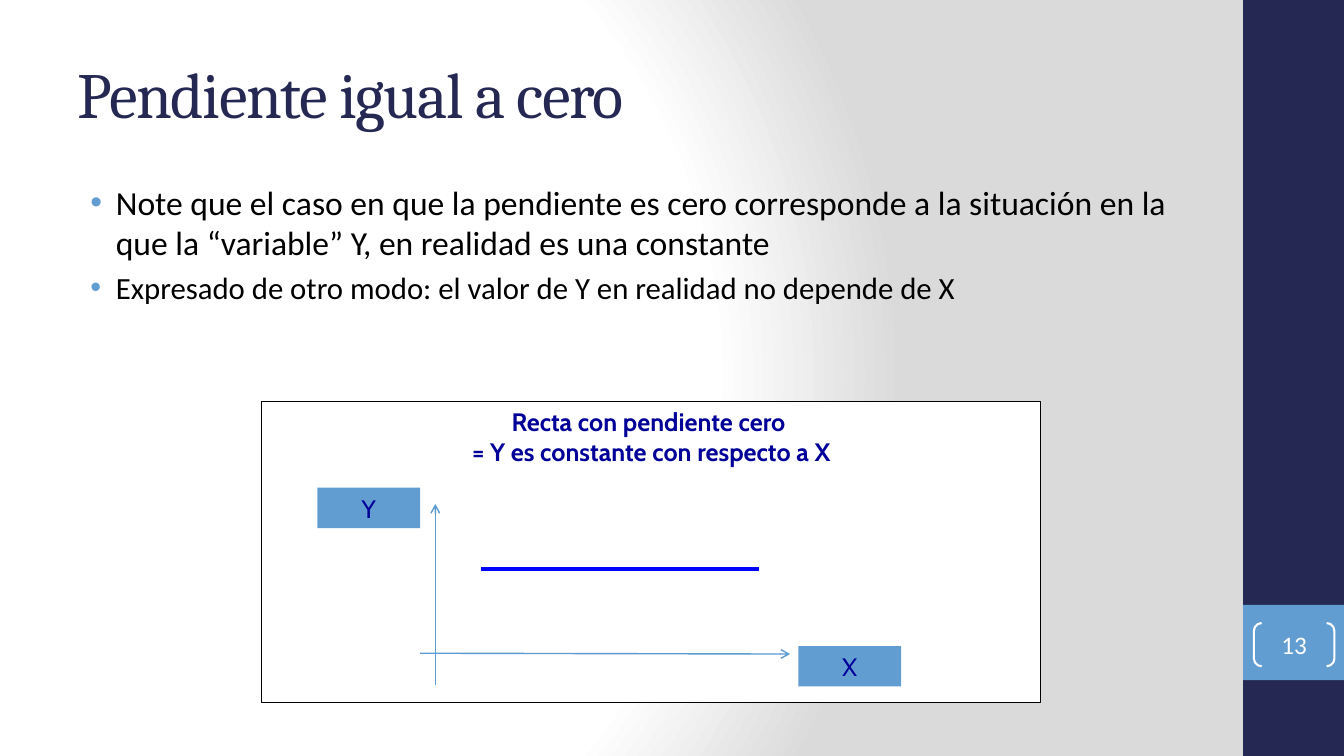
from pptx import Presentation
from pptx.dml.color import RGBColor
from pptx.enum.shapes import MSO_CONNECTOR, MSO_SHAPE
from pptx.enum.text import MSO_ANCHOR, PP_ALIGN
from pptx.oxml import parse_xml
from pptx.oxml.ns import nsdecls, qn
from pptx.util import Cm, Pt

RECT, BRACKETS = MSO_SHAPE.RECTANGLE, MSO_SHAPE.DOUBLE_BRACKET
STRAIGHT = MSO_CONNECTOR.STRAIGHT
TOP, MIDDLE = MSO_ANCHOR.TOP, MSO_ANCHOR.MIDDLE
LEFT, CENTER = PP_ALIGN.LEFT, PP_ALIGN.CENTER

# Content
TITLE = "Pendiente igual a cero"
BULLETS = [
    ("Note que el caso en que la pendiente es cero corresponde a la situación "
     "en la que la “variable” Y, en realidad es una constante", 24),
    ("Expresado de otro modo: el valor de Y en realidad no depende de X", 22),
]
PANEL_LINES = ["Recta con pendiente cero ", "= Y es constante con respecto a X"]
PAGE = "13"

THEME = {
    "navy": "242852", "blue": "629DD1", "axis": "5D9ACF", "line": "0000FF",
    "label": "000099", "white": "FFFFFF", "black": "000000", "shade": "DADADA",
    "title_font": "Cambria", "body_font": "Calibri", "graph_font": "Cabin",
    "title_size": 46, "small_size": 18,
}

# Layout in centimetres: left, top, width, height
SLIDE_W, SLIDE_H, BAR_W = 33.87, 19.05, 2.54
BAR_X = SLIDE_W - BAR_W
TEXT_X, TEXT_W = 1.7, 28.22
PANEL = (6.6, 10.11, 19.63, 7.59)
LABEL_W, LABEL_H = 2.59, 1.02
AXIS_LABELS = [("Y", 8.0, 12.29), ("X", 20.12, 16.28)]
# from x, from y, to x, to y, colour, width, arrow
GRAPH_LINES = [
    (12.12, 14.33, 19.13, 14.33, "line", 3, False),
    (10.59, 16.46, 19.91, 16.48, "axis", 1, True),
    (10.97, 17.27, 10.97, 12.7, "axis", 1, True),
]

prs = Presentation()
prs.slide_width, prs.slide_height = Cm(SLIDE_W), Cm(SLIDE_H)
slide = prs.slides.add_slide(prs.slide_layouts[6])


def color(name):
    return RGBColor.from_string(THEME[name])


def add_block(kind, box, fill=None, outline=None, width=1):
    block = slide.shapes.add_shape(kind, *map(Cm, box))
    block.shadow.inherit = False
    if fill:
        block.fill.solid()
        block.fill.fore_color.rgb = color(fill)
    else:
        block.fill.background()
    if outline:
        block.line.color.rgb = color(outline)
        block.line.width = Pt(width)
    else:
        block.line.fill.background()
    return block


def set_frame(owner, anchor, wrap=True):
    frame = owner.text_frame
    frame.word_wrap = wrap
    frame.vertical_anchor = anchor
    return frame


def add_run(paragraph, text, size, font, ink, align=LEFT, bold=False):
    paragraph.alignment = align
    run = paragraph.add_run()
    run.text = text
    run.font.size, run.font.name, run.font.bold = Pt(size), THEME[font], bold
    run.font.color.rgb = color(ink)
    return run


def add_bullet(paragraph):
    props = paragraph._p.get_or_add_pPr()
    props.set("marL", str(Cm(0.97)))
    props.set("indent", str(-Cm(0.64)))
    for xml in (f'<a:buClr {nsdecls("a")}><a:srgbClr val="{THEME["blue"]}"/></a:buClr>',
                f'<a:buFont {nsdecls("a")} typeface="Arial"/>',
                f'<a:buChar {nsdecls("a")} char="•"/>'):
        props.append(parse_xml(xml))


# Background gradient
slide.background.fill.gradient()
gradient = slide.element.find(".//" + qn("a:gradFill"))
stops = "".join(
    f'<a:gs pos="{place * 1000}"><a:srgbClr val="{THEME[name]}"/></a:gs>'
    for place, name in [(0, "white"), (75, "white"), (100, "shade")])
gradient.getparent().replace(gradient, parse_xml(
    f'<a:gradFill {nsdecls("a")} rotWithShape="1"><a:gsLst>{stops}</a:gsLst>'
    '<a:path path="circle"><a:fillToRect l="20000" t="50000" r="100000" b="50000"/>'
    '</a:path></a:gradFill>'))

# Side bar
add_block(RECT, (BAR_X, 0, BAR_W, SLIDE_H), "navy")
add_block(RECT, (BAR_X, 15.24, BAR_W, 1.9), "blue")

# Title
title = slide.shapes.add_textbox(Cm(TEXT_X), Cm(0.76), Cm(TEXT_W), Cm(3.18))
title_run = add_run(set_frame(title, MIDDLE).paragraphs[0], TITLE,
                    THEME["title_size"], "title_font", "navy")
title_run.font._element.set("spc", "-100")

# Bullets
body = slide.shapes.add_textbox(Cm(TEXT_X), Cm(4.45), Cm(TEXT_W), Cm(13.34))
body_frame = set_frame(body, TOP)
for index, (text, size) in enumerate(BULLETS):
    bullet = body_frame.add_paragraph() if index else body_frame.paragraphs[0]
    bullet.space_before = Pt(size * 0.2)
    add_run(bullet, text, size, "body_font", "black")
    add_bullet(bullet)

# Page number
page = add_block(BRACKETS, (31.6, 15.7, 2.03, 1.09), None, "white", 1.5)
page.adjustments[0] = 0.18
page_frame = set_frame(page, MIDDLE)
page_frame.margin_left = page_frame.margin_right = 0
page_frame.margin_top = page_frame.margin_bottom = 0
add_run(page_frame.paragraphs[0], PAGE, THEME["small_size"], "body_font", "white", CENTER)

# Graph panel
panel = add_block(RECT, PANEL, "white", "black", 0.75)
heading = set_frame(panel, TOP, wrap=False).paragraphs[0]
for index, text in enumerate(PANEL_LINES):
    if index:
        heading.add_line_break()
    add_run(heading, text, THEME["small_size"], "graph_font", "label", CENTER, True)

# Constant line and axes
for x1, y1, x2, y2, ink, width, arrow in GRAPH_LINES:
    stroke = slide.shapes.add_connector(STRAIGHT, Cm(x1), Cm(y1), Cm(x2), Cm(y2))
    stroke.line.color.rgb = color(ink)
    stroke.line.width = Pt(width)
    if arrow:
        stroke.line._get_or_add_ln().append(
            parse_xml(f'<a:tailEnd {nsdecls("a")} type="arrow"/>'))
    stroke._element.spPr.append(parse_xml(f'<a:effectLst {nsdecls("a")}/>'))

# Axis labels
for text, x, y in AXIS_LABELS:
    label = add_block(RECT, (x, y, LABEL_W, LABEL_H), "blue")
    add_run(set_frame(label, MIDDLE).paragraphs[0], text,
            THEME["small_size"], "graph_font", "label", CENTER)

prs.save("out.pptx")
